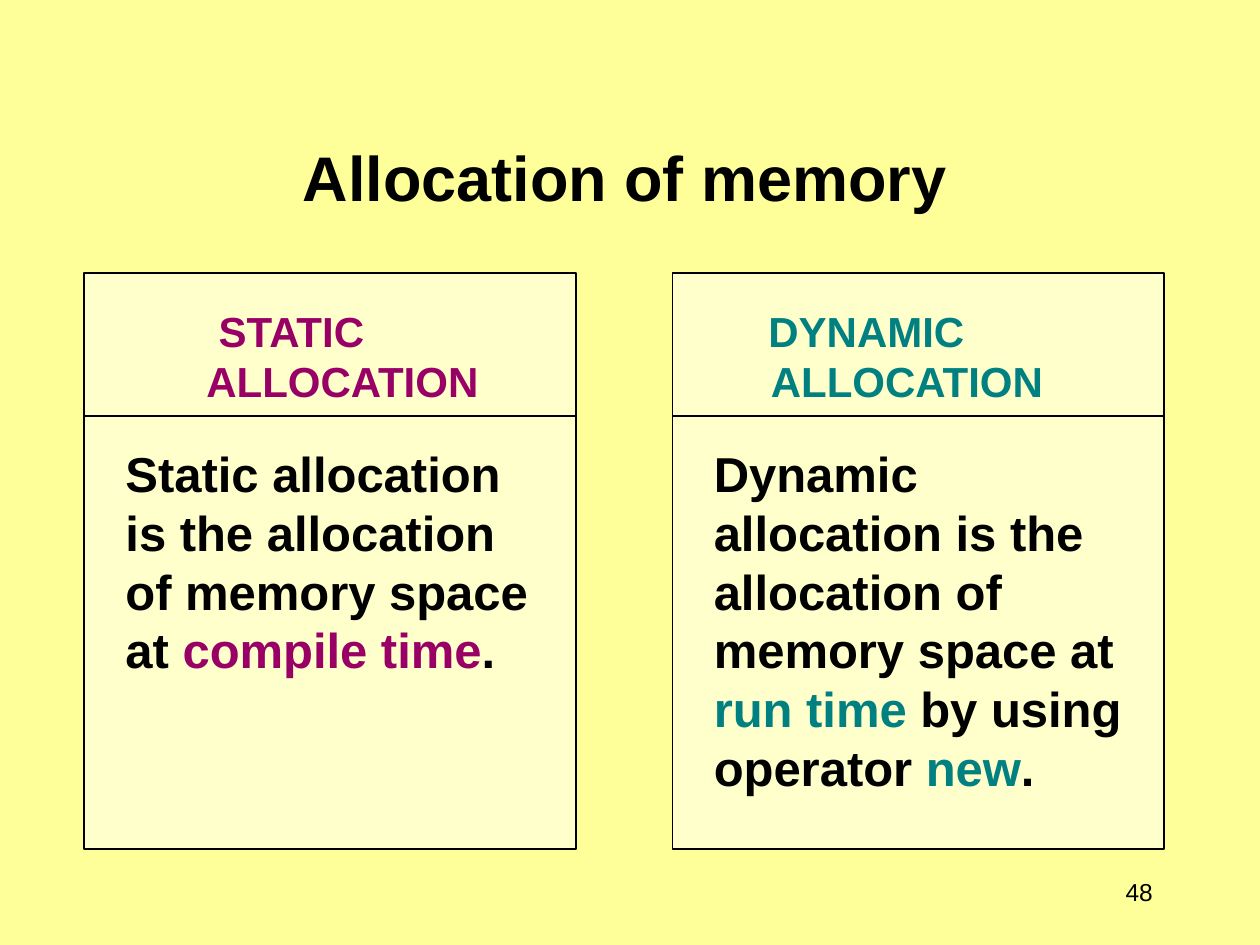
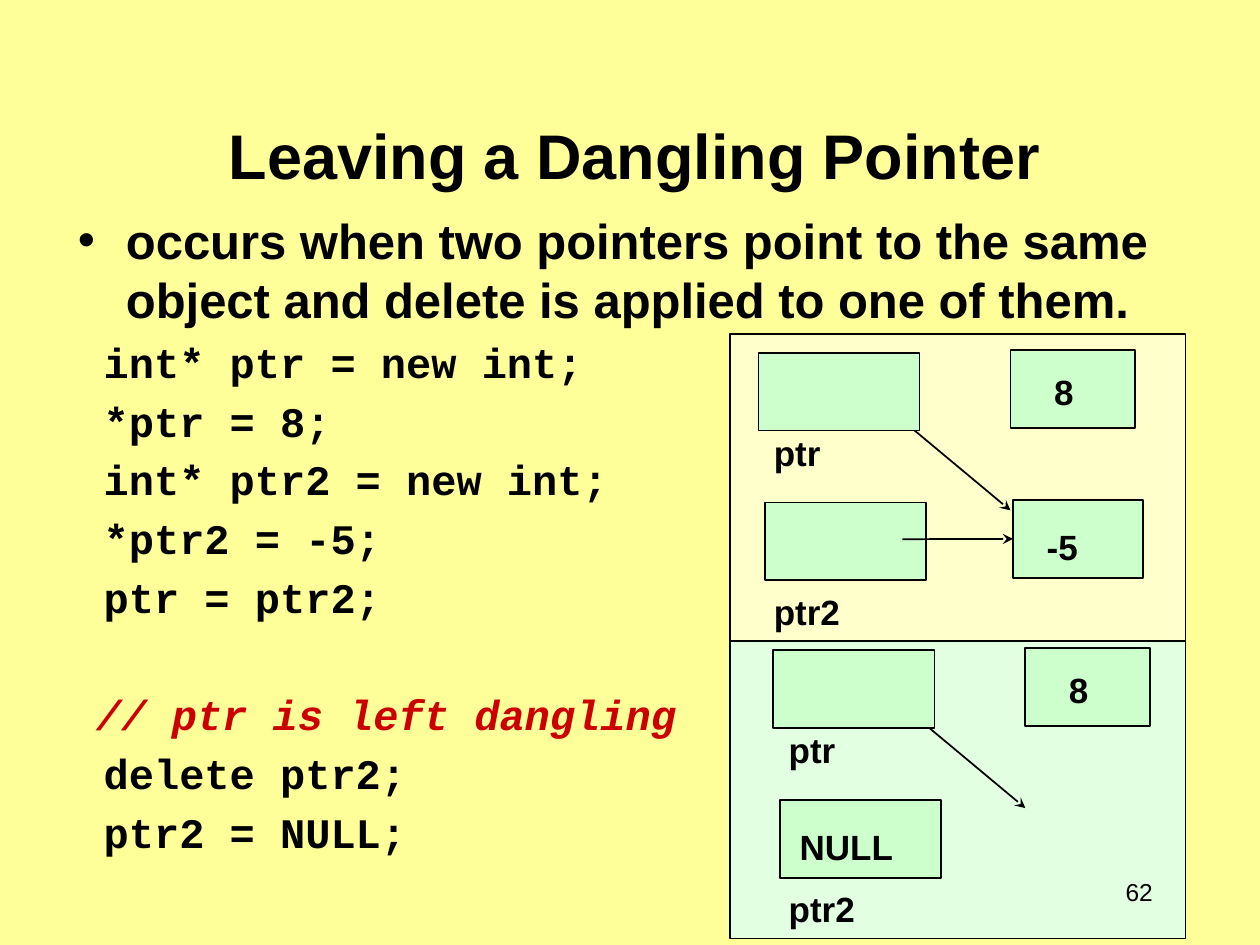
from pptx import Presentation
from pptx.dml.color import RGBColor
from pptx.enum.shapes import MSO_CONNECTOR, MSO_SHAPE
from pptx.enum.text import MSO_ANCHOR, PP_ALIGN
from pptx.oxml.ns import qn
from pptx.util import Cm, Pt
from lxml import etree

RECT = MSO_SHAPE.RECTANGLE
LINE = MSO_CONNECTOR.STRAIGHT
TOP, MID, LOW = MSO_ANCHOR.TOP, MSO_ANCHOR.MIDDLE, MSO_ANCHOR.BOTTOM
LEFT, MIDDLE, RIGHT = PP_ALIGN.LEFT, PP_ALIGN.CENTER, PP_ALIGN.RIGHT

YELLOW = RGBColor(0xFF, 0xFF, 0x99)
CREAM = RGBColor(0xFF, 0xFF, 0xCC)
MINT = RGBColor(0xE2, 0xFF, 0xE2)
GREEN = RGBColor(0xCC, 0xFF, 0xCC)
BLACK = RGBColor(0, 0, 0)
PLUM = RGBColor(0x99, 0x00, 0x66)
TEAL = RGBColor(0x00, 0x80, 0x80)
RED = RGBColor(0xCC, 0x00, 0x00)

SANS, MONO = "Arial", "Courier New"
LEAD = 1.2  # line height as a multiple of the text size
PAD = (0.25, 0.13, 0.25, 0.13)


class Deck:
    """Holds the shared style and the current slide."""

    def __init__(self):
        self.prs = Presentation()
        self.prs.slide_width, self.prs.slide_height = Cm(25.4), Cm(19.05)
        self.slide = None

    def page(self):
        self.slide = self.prs.slides.add_slide(self.prs.slide_layouts[6])
        fill = self.slide.background.fill
        fill.solid()
        fill.fore_color.rgb = YELLOW

    def frame(self, shape, pad, anchor):
        frame = shape.text_frame
        frame.word_wrap = True
        frame.vertical_anchor = anchor
        (frame.margin_left, frame.margin_top,
         frame.margin_right, frame.margin_bottom) = map(Cm, pad)
        return frame

    def box(self, x, y, w, h, anchor=TOP, pad=PAD):
        shape = self.slide.shapes.add_textbox(Cm(x), Cm(y), Cm(w), Cm(h))
        return self.frame(shape, pad, anchor)

    def style(self, run, size, color=BLACK, bold=True, font=SANS):
        run.font.name, run.font.size = font, Pt(size)
        run.font.bold, run.font.color.rgb = bold, color

    def label(self, frame, text, size, align=LEFT, bold=True):
        frame.text = text
        para = frame.paragraphs[0]
        para.alignment = align
        self.style(para.runs[0], size, bold=bold)

    def para(self, frame, parts, size, indent=0.0, gap=0.0, font=SANS):
        """Add a paragraph of (text, colour) parts with fixed leading."""
        para = frame.paragraphs[0]
        if para.runs:
            para = frame.add_paragraph()
        para.line_spacing = Pt(size * LEAD)
        para.space_before = Pt(gap)
        props = para._p.get_or_add_pPr()
        props.set("marL", str(Cm(indent)))
        props.set("indent", "0")
        for text, color in parts:
            run = para.add_run()
            run.text = text
            self.style(run, size, color, font=font)
        return para

    def bullet(self, para, hang):
        props = para._p.get_or_add_pPr()
        props.set("indent", str(-Cm(hang)))
        etree.SubElement(props, qn("a:buFont")).set("typeface", SANS)
        etree.SubElement(props, qn("a:buChar")).set("char", "•")

    def title(self, text, x, y, h):
        self.label(self.box(x, y, 21.79, h, LOW), text, 36, MIDDLE)

    def number(self, text):
        frame = self.box(21.79, 17.35, 1.7, 1.27, MID)
        self.label(frame, text, 14, RIGHT, bold=False)

    def rect(self, x, y, w, h, fill):
        shape = self.slide.shapes.add_shape(RECT, Cm(x), Cm(y), Cm(w), Cm(h))
        shape.shadow.inherit = False
        shape.fill.solid()
        shape.fill.fore_color.rgb = fill
        shape.line.color.rgb, shape.line.width = BLACK, Pt(1)
        return shape

    def value(self, shape, text, left, top):
        self.label(self.frame(shape, (left, top, 0, 0), MID), text, 20)

    def line(self, x1, y1, x2, y2, arrow=False):
        link = self.slide.shapes.add_connector(
            LINE, Cm(x1), Cm(y1), Cm(x2), Cm(y2))
        link.line.color.rgb, link.line.width = BLACK, Pt(1)
        props = link._element.spPr
        if arrow:
            tail = etree.SubElement(props.find(qn("a:ln")), qn("a:tailEnd"))
            tail.set("type", "stealth")
        etree.SubElement(props, qn("a:effectLst"))
        return link

    # Panel with a two-line heading, a rule and a definition
    def panel(self, x, width, heads, color, parts):
        self.rect(x, 5.51, 9.91, 11.61, CREAM)
        frame = self.box(x + 0.58, 6.02, width, 11)
        for text, indent in heads:
            self.para(frame, [(text, color)], 24, indent)
        self.para(frame, parts, 28, gap=18 * LEAD)
        self.line(x, 8.38, x + 9.93, 8.38)

    # Two pointer boxes, their names and the first value
    def scene(self, dx, dy):
        self.line(18.08 + dx, 8.38 + dy, 20.37 + dx, 10.29 + dy, arrow=True)
        self.rect(15.29 + dx, 7.11 + dy, 3.25, 1.57, GREEN)
        second = self.rect(15.42 + dx, 10.13 + dy, 3.25, 1.57, GREEN)
        eight = self.rect(20.37 + dx, 7.06 + dy, 2.51, 1.57, GREEN)
        self.value(eight, "8", 0.88, 0.1)
        for name, y in (("ptr", 8.69), ("ptr2", 11.9)):
            frame = self.box(15.6 + dx, y + dy, 2.5, 0.81, pad=(0, 0, 0, 0))
            self.label(frame, name, 20)
        return second


def memory(deck):
    deck.page()
    deck.number("48")
    deck.title("Allocation of memory", 1.7, 1.27, 3.18)
    deck.panel(1.7, 8.71, [("STATIC", 1.88), ("ALLOCATION", 1.63)], PLUM, [
        ("Static allocation is the allocation of memory space at ", BLACK),
        ("compile time", PLUM), (".", BLACK)])
    deck.panel(13.56, 9.27, [("DYNAMIC", 1.1), ("ALLOCATION", 1.15)], TEAL, [
        ("Dynamic allocation is the allocation of memory space at ", BLACK),
        ("run time", TEAL), (" by using operator ", BLACK),
        ("new", TEAL), (".", BLACK)])


def dangling(deck):
    deck.page()
    deck.rect(14.71, 12.9, 9.19, 6.02, MINT)
    deck.rect(14.71, 6.73, 9.19, 6.2, CREAM)
    deck.number("62")

    # Rule and code
    body = deck.box(1.32, 4.11, 22.61, 12.45)
    rule = deck.para(body, [(
        "occurs when two pointers point to the same object "
        "and delete is applied to one of them.", BLACK)], 28, 0.97)
    deck.bullet(rule, 0.97)
    gap = 4.8
    for code in ("int* ptr = new int;", "*ptr = 8;", "int* ptr2 = new int;",
                 "*ptr2 = -5;", "ptr = ptr2;"):
        deck.para(body, [(code, BLACK)], 24, 0.52, gap, MONO)
    note = deck.para(body, [("// ptr is left dangling", RED)], 24, 0.37,
                     2 * gap + 24 * LEAD, MONO)
    note.runs[0].font.italic = True
    for code in ("delete ptr2;", "ptr2 = NULL;"):
        deck.para(body, [(code, BLACK)], 24, 0.52, gap, MONO)
    deck.title("Leaving a Dangling Pointer", 1.9, 1.17, 2.84)

    # Before: both pointers reach the same object
    deck.scene(0, 0)
    five = deck.rect(20.42, 10.08, 2.62, 1.57, GREEN)
    deck.value(five, "-5", 0.68, 0.3)
    link = deck.line(18.19, 10.87, 20.42, 10.87, arrow=True)
    link.end_connect(five, 1)

    # After: the object is gone
    second = deck.scene(0.3, 6)
    deck.value(second, "NULL", 0.4, 0.3)


def main():
    deck = Deck()
    memory(deck)
    dangling(deck)
    deck.prs.save("out.pptx")


if __name__ == "__main__":
    main()
